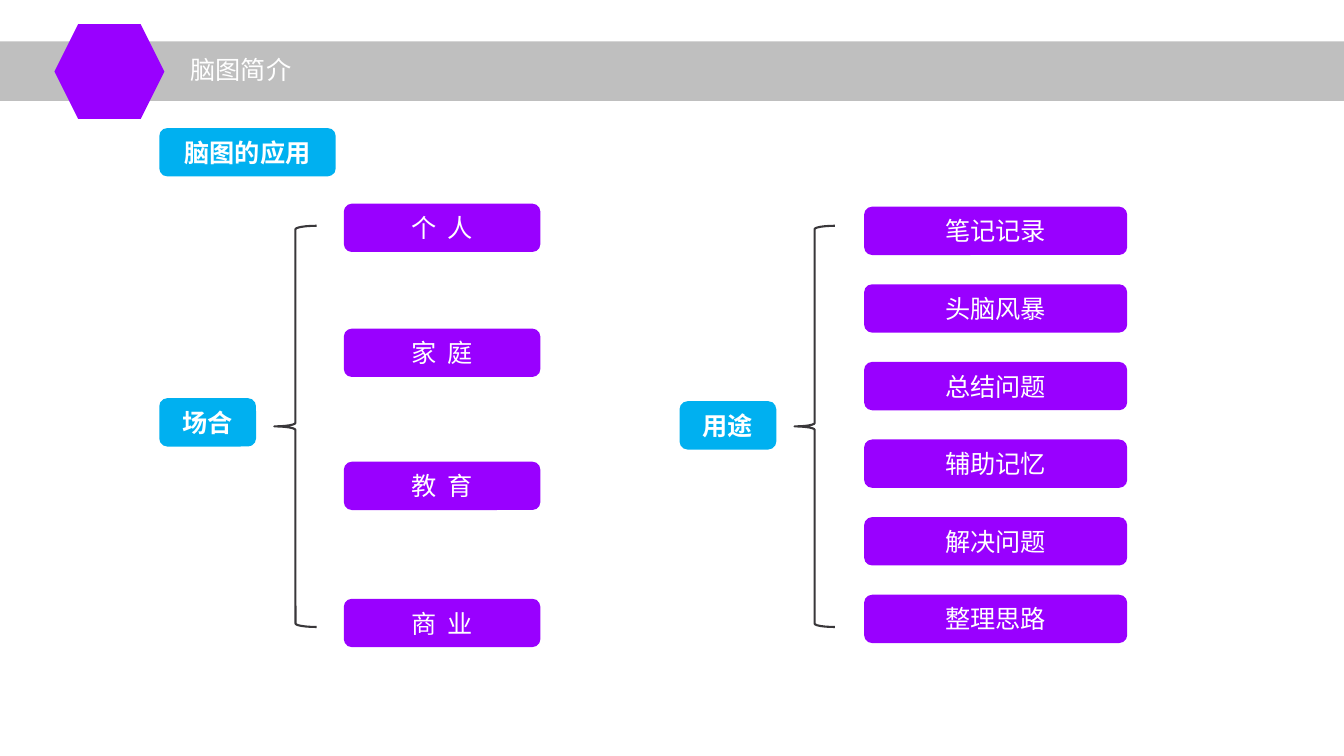
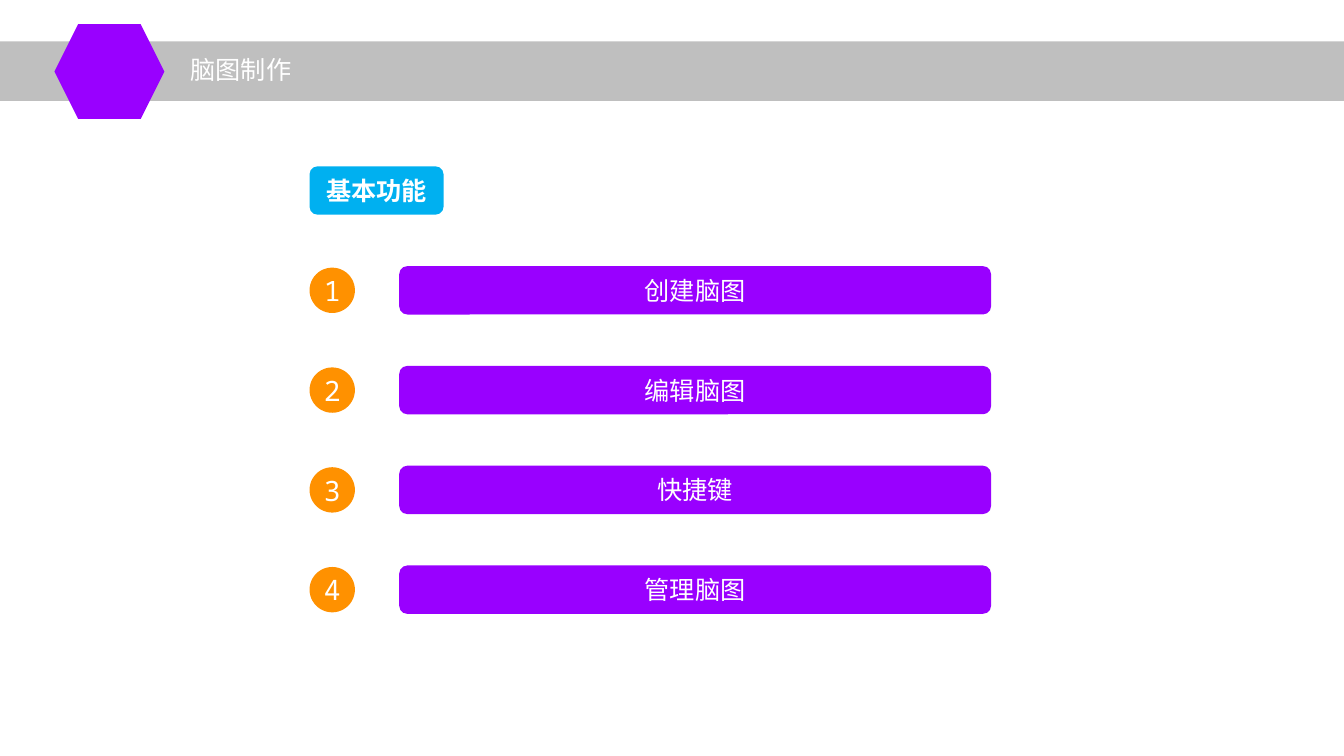
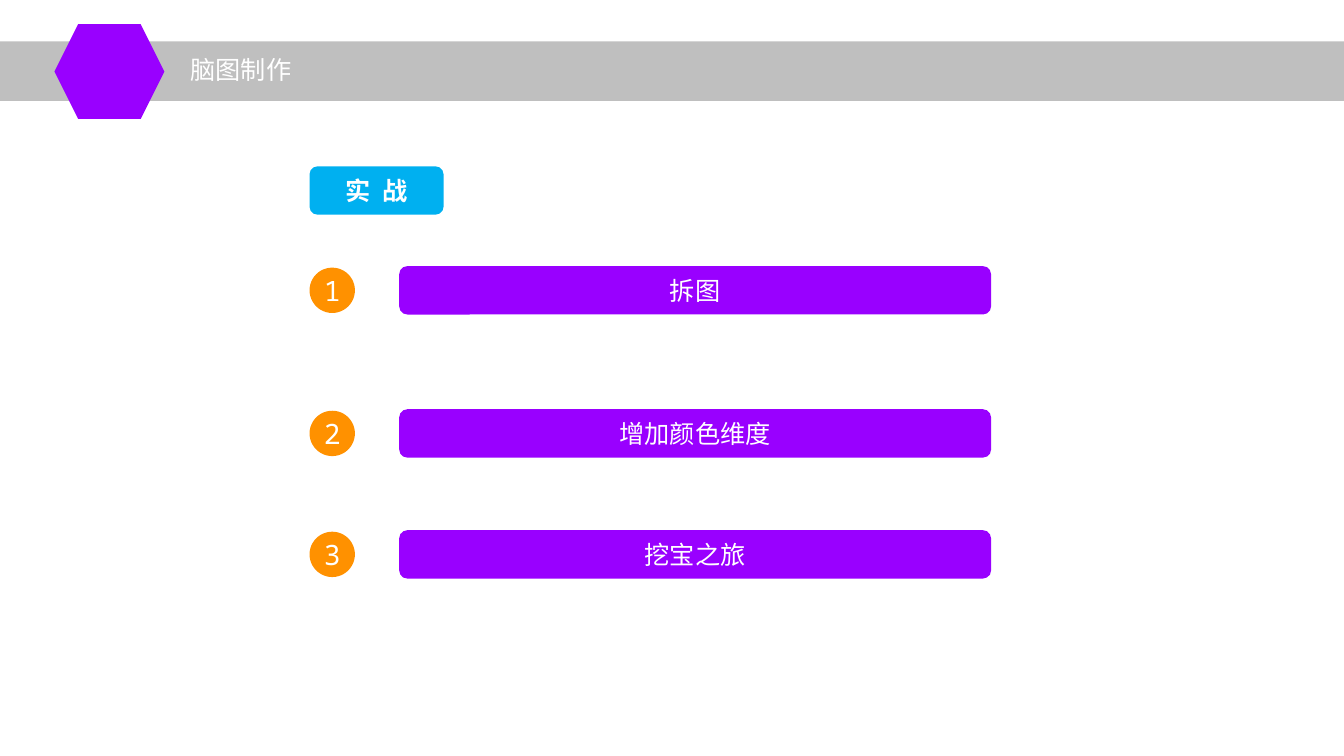
from lxml.etree import SubElement
from pptx import Presentation
from pptx.dml.color import RGBColor
from pptx.enum.shapes import MSO_SHAPE
from pptx.enum.text import MSO_ANCHOR, MSO_AUTO_SIZE, PP_ALIGN
from pptx.oxml.ns import qn
from pptx.util import Inches, Pt

# Shared style
WIDTH, HEIGHT = 13.33, 7.5
PURPLE, BLUE, ORANGE = "9900FF", "00B0F0", "FF9100"
GRAY, INK, WHITE = "BFBFBF", "39373A", "FFFFFF"
TEXT_FONT, NUMBER_FONT = "Noto Sans CJK SC", "Noto Sans Mono"

# Shared grid
BOX_H = 0.48
DOT = 0.45
LABEL_X, STEP_X, STEP_W = 3.07, 3.96, 5.87
FIRST_ROW, ROW_PITCH = 2.64, 0.99


def color(hex_value):
    return RGBColor.from_string(hex_value)


def place(sp, left, top, width, height):
    sp.left, sp.top = Inches(left), Inches(top)
    sp.width, sp.height = Inches(width), Inches(height)


def write(sp, text, size=18, font=TEXT_FONT, bold=False, align=PP_ALIGN.CENTER):
    tf = sp.text_frame
    tf.text = text
    tf.vertical_anchor = MSO_ANCHOR.MIDDLE
    p = tf.paragraphs[0]
    p.alignment = align
    for r in p.runs:
        r.font.size, r.font.name, r.font.bold = Pt(size), font, bold
        r.font.color.rgb = color(WHITE)
        SubElement(r.font._element, qn("a:ea"), typeface=font)


def add_block(slide, kind, left, top, width, height, fill):
    sp = slide.shapes.add_shape(kind, Inches(left), Inches(top),
                                Inches(width), Inches(height))
    sp.shadow.inherit = False
    sp.line.fill.background()
    sp.fill.solid()
    sp.fill.fore_color.rgb = color(fill)
    tf = sp.text_frame
    tf.margin_left = tf.margin_right = tf.margin_top = tf.margin_bottom = 0
    return sp


def add_box(slide, text, left, top, width, fill=PURPLE):
    sp = add_block(slide, MSO_SHAPE.ROUNDED_RECTANGLE, left, top, width, BOX_H, fill)
    write(sp, text, bold=fill == BLUE)


def add_brace(slide, left, width):
    sp = slide.shapes.add_shape(MSO_SHAPE.LEFT_BRACE, Inches(left), Inches(2.24),
                                Inches(width), Inches(3.98))
    sp.shadow.inherit = False
    sp.fill.background()
    sp.line.color.rgb = color(INK)
    sp.line.width = Pt(1.5)


def set_up_layout(layout, slide):
    """Move the band and the hexagon to the layout, behind its title."""
    band = add_block(slide, MSO_SHAPE.RECTANGLE, 0, 0.41, WIDTH, 0.59, GRAY)
    badge = add_block(slide, MSO_SHAPE.HEXAGON, 0.54, 0.24, 1.09, 0.94, PURPLE)
    for position, sp in enumerate((band, badge), start=2):
        layout.shapes.element.insert(position, sp.element)
    place(layout.placeholders[0], 1.79, 0.44, 5.59, 0.5)


def add_slide(prs, title):
    layout = prs.slide_layouts[5]
    slide = prs.slides.add_slide(layout)
    if len(prs.slides) == 1:
        set_up_layout(layout, slide)
    write(slide.shapes.title, title, align=PP_ALIGN.LEFT)
    slide.shapes.title.text_frame.auto_size = MSO_AUTO_SIZE.NONE
    return slide


def add_branch(slide, label, label_at, brace, left, width, items):
    add_box(slide, label, *label_at, 0.96, BLUE)
    add_brace(slide, *brace)
    for text, top in items:
        add_box(slide, text, left, top, width)


def add_steps(slide, label, items):
    add_box(slide, label, LABEL_X, 1.65, 1.33, BLUE)
    for number, (text, top) in enumerate(items, start=1):
        add_box(slide, text, STEP_X, top, STEP_W)
        dot = add_block(slide, MSO_SHAPE.OVAL, LABEL_X, top + (BOX_H - DOT) / 2,
                        DOT, DOT, ORANGE)
        write(dot, str(number), 20, NUMBER_FONT)


def main():
    prs = Presentation()
    prs.slide_width, prs.slide_height = Inches(WIDTH), Inches(HEIGHT)

    # Uses of mind maps
    slide = add_slide(prs, "脑图简介")
    add_box(slide, "脑图的应用", 1.58, 1.27, 1.75, BLUE)
    add_branch(slide, "场合", (1.58, 3.95), (2.72, 0.42), 3.41, 1.95,
               [("个  人", 2.02), ("家  庭", 3.26), ("教  育", 4.58), ("商  业", 5.94)])
    purposes = ["笔记记录", "头脑风暴", "总结问题", "辅助记忆", "解决问题", "整理思路"]
    add_branch(slide, "用途", (6.74, 3.98), (7.88, 0.4), 8.57, 2.61,
               [(text, 2.05 + 0.77 * row) for row, text in enumerate(purposes)])

    # Basic functions
    functions = ["创建脑图", "编辑脑图", "快捷键", "管理脑图"]
    add_steps(add_slide(prs, "脑图制作"), "基本功能",
              [(text, FIRST_ROW + ROW_PITCH * row) for row, text in enumerate(functions)])

    # Practice
    add_steps(add_slide(prs, "脑图制作"), "实  战",
              [("拆图", FIRST_ROW), ("增加颜色维度", 4.06), ("挖宝之旅", 5.26)])

    prs.save("out.pptx")


if __name__ == "__main__":
    main()
